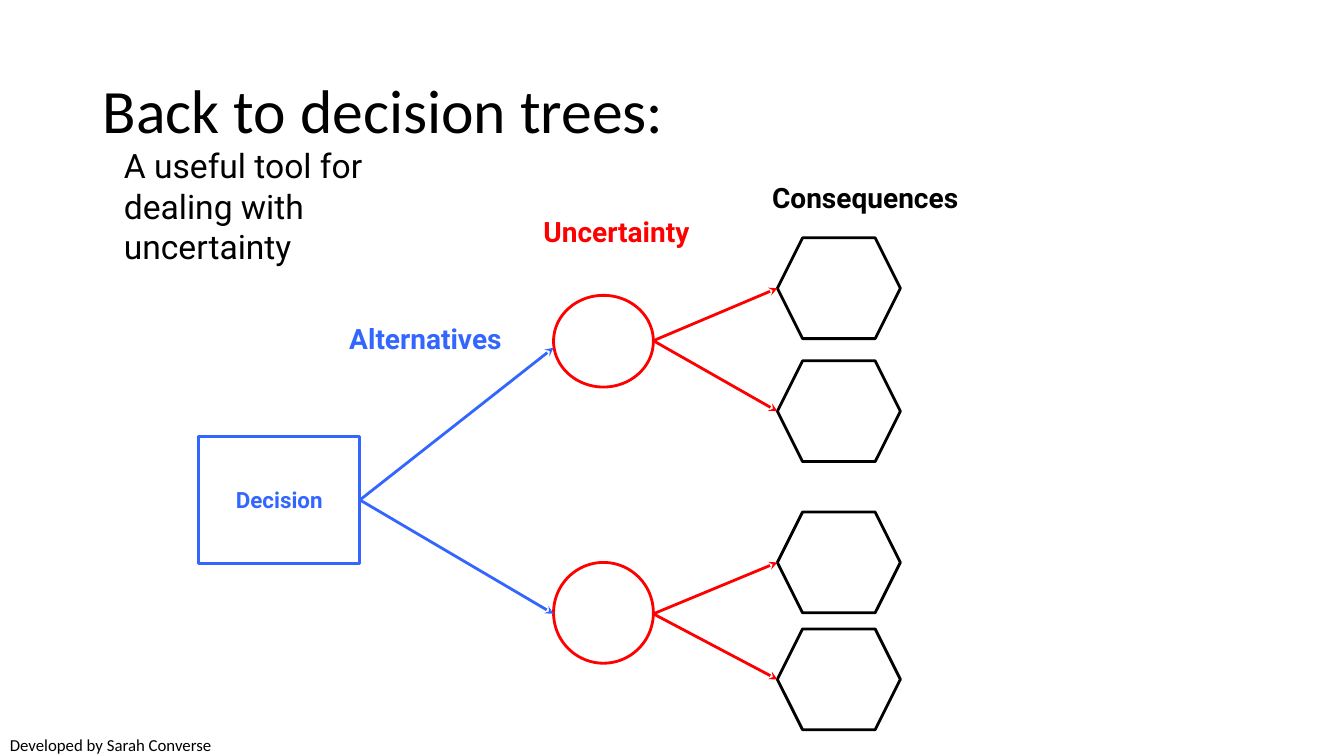
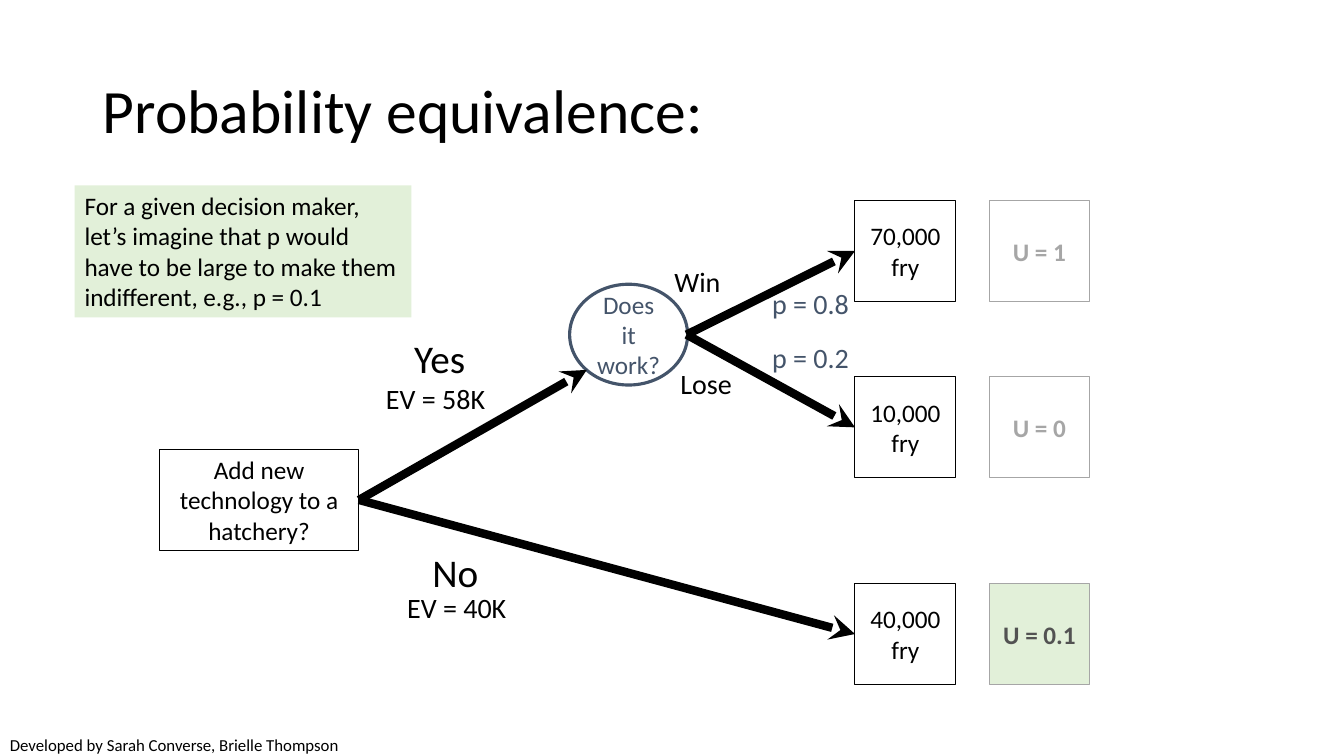
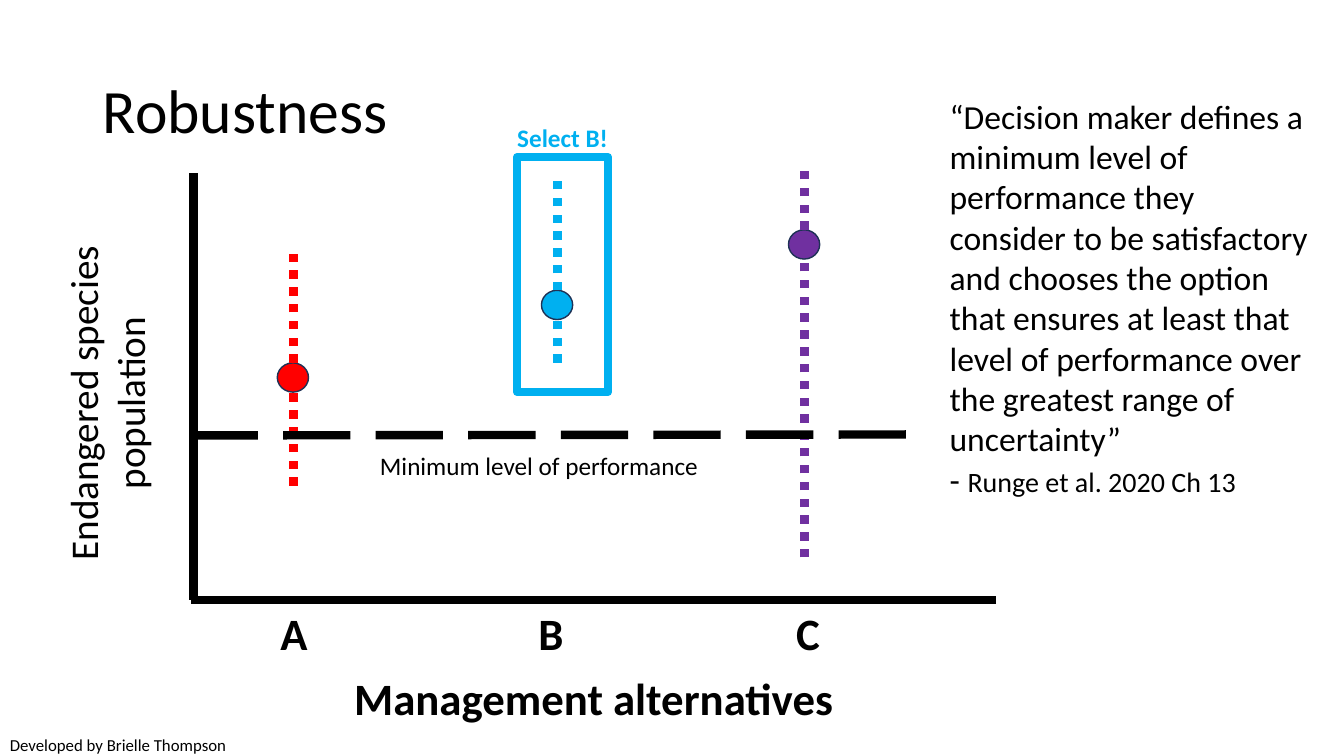
from lxml import etree
from pptx import Presentation
from pptx.dml.color import RGBColor
from pptx.enum.dml import MSO_LINE
from pptx.enum.shapes import MSO_CONNECTOR, MSO_SHAPE
from pptx.enum.text import MSO_ANCHOR, MSO_AUTO_SIZE, PP_ALIGN
from pptx.oxml.ns import qn
from pptx.util import Inches, Pt

BLACK = RGBColor(0x00, 0x00, 0x00)
WHITE = RGBColor(0xFF, 0xFF, 0xFF)
RED = RGBColor(0xFF, 0x00, 0x00)
BLUE = RGBColor(0x33, 0x66, 0xFF)
SLATE = RGBColor(0x44, 0x54, 0x6A)
GRAY = RGBColor(0xA6, 0xA6, 0xA6)
DARK = RGBColor(0x52, 0x52, 0x52)
GREEN = RGBColor(0xE2, 0xF0, 0xD9)
SKY = RGBColor(0x00, 0xB0, 0xF0)
PURPLE = RGBColor(0x70, 0x30, 0xA0)
NAVY = RGBColor(0x1E, 0x32, 0x56)

RECT, OVAL, HEX = MSO_SHAPE.RECTANGLE, MSO_SHAPE.OVAL, MSO_SHAPE.HEXAGON
STRAIGHT = MSO_CONNECTOR.STRAIGHT
DOTS, DASHES = MSO_LINE.ROUND_DOT, MSO_LINE.LONG_DASH
LEFT, CENTER = PP_ALIGN.LEFT, PP_ALIGN.CENTER
TOP, MIDDLE = MSO_ANCHOR.TOP, MSO_ANCHOR.MIDDLE
FIXED = MSO_AUTO_SIZE.NONE
WEST, EAST = 1, 3
TITLE_ONLY = 5
BODY, HEAD = "Calibri", "Roboto"


class Deck:
    """Holds the shared style and the slide being built."""

    def __init__(self):
        self.prs = Presentation()
        self.prs.slide_width = Inches(13.33)
        self.prs.slide_height = Inches(7.5)
        self.slide = None

    def start(self, title, credit):
        """Add a slide with its title and credit line."""
        self.slide = self.prs.slides.add_slide(self.prs.slide_layouts[TITLE_ONLY])
        head = self.slide.shapes.title
        place = dict(left=0.92, top=0.4, width=11.5, height=1.45)
        for name, value in place.items():
            setattr(head, name, Inches(value))
        self.text(head, title, 44, anchor=MIDDLE)
        head.text_frame.paragraphs[0].line_spacing = 0.9
        self.label((0, 7.24, 6.67, 0.3), credit, 12)

    def text(self, shape, words, size, color=BLACK, align=LEFT, anchor=TOP, **fmt):
        frame = shape.text_frame
        frame.auto_size = FIXED
        frame.word_wrap = True
        frame.vertical_anchor = anchor
        para = frame.paragraphs[0]
        para.alignment = align
        self.run(para, words, size, color, **fmt)

    def run(self, para, words, size, color=BLACK, **fmt):
        run = para.add_run()
        run.text = words
        run.font.color.rgb = color
        for name, value in {"name": BODY, "size": Pt(size), **fmt}.items():
            setattr(run.font, name, value)

    def label(self, box, words, size, color=BLACK, **fmt):
        shape = self.slide.shapes.add_textbox(*map(Inches, box))
        self.text(shape, words, size, color, **fmt)
        return shape

    def shape(self, kind, box, line=None, width=0.75, fill=None):
        shape = self.slide.shapes.add_shape(kind, *map(Inches, box))
        shape.shadow.inherit = False
        if fill is None:
            shape.fill.background()
        else:
            shape.fill.solid()
            shape.fill.fore_color.rgb = fill
        if line is None:
            shape.line.fill.background()
        else:
            shape.line.color.rgb = line
            shape.line.width = Pt(width)
        return shape

    def node(self, kind, box, words, size=18, line=BLACK, width=0.75, fill=None,
             color=BLACK, **fmt):
        """Add an outlined shape with centred text."""
        shape = self.shape(kind, box, line, width, fill)
        self.text(shape, words, size, color, CENTER, MIDDLE, **fmt)
        return shape

    def line(self, start, end, color=BLACK, width=6, dash=None):
        link = self.slide.shapes.add_connector(STRAIGHT, *map(Inches, start + end))
        link.line.color.rgb = color
        link.line.width = Pt(width)
        if dash is not None:
            link.line.dash_style = dash
        etree.SubElement(link._element.spPr, qn("a:effectLst"))
        return link

    def arrow(self, start, end, color=BLACK, width=6, tail=None, goal=None):
        """Draw an arrow; tail and goal are rectangles to join at their sides."""
        link = self.line(start, end, color, width)
        outline = link._element.spPr.find(qn("a:ln"))
        etree.SubElement(outline, qn("a:tailEnd"), type="stealth")
        if tail is not None:
            link.begin_connect(tail, EAST)
        if goal is not None:
            link.end_connect(goal, WEST)


def tree(deck):
    deck.start("Back to decision trees:", "Developed by Sarah Converse")
    root = deck.node(RECT, (1.97, 4.33, 1.6, 1.26), "Decision", 16, BLUE, 2,
                     color=BLUE, name=HEAD, bold=True)
    # Oval top and height, arrow entry, centre, and tops of its two hexagons
    forks = ((2.93, 0.91, 3.45, 3.38, (2.36, 3.58)),
             (5.58, 1, 6.09, 6.09, (5.08, 6.24)))
    for top, high, entry, mid, ends in forks:
        deck.shape(OVAL, (5.49, top, 0.99, high), RED, 2)
        deck.arrow((3.57, 4.96), (5.49, entry), BLUE, 2, tail=root)
        for y in ends:
            cell = deck.shape(HEX, (7.71, y, 1.22, 1), BLACK, 2)
            cell.adjustments[0] = 0.25
            deck.arrow((6.48, mid), (7.71, y + 0.5), RED, 2)
    for box, words, color, align in (
            ((7.56, 1.74, 2.34, 0.51), "Consequences", BLACK, LEFT),
            ((2.94, 3.14, 2.56, 0.51), "Alternatives", BLUE, CENTER),
            ((5.13, 2.08, 1.97, 0.51), "Uncertainty", RED, CENTER)):
        deck.label(box, words, 20, color, align=align, name=HEAD, bold=True)
    deck.label((1.13, 1.39, 2.78, 1.31), "A useful tool for dealing with uncertainty",
               24, name=HEAD)


def odds(deck):
    deck.start("Probability equivalence:", "Developed by Sarah Converse, Brielle Thompson")
    root = deck.node(RECT, (1.58, 4.46, 1.98, 1), "Add new technology to a hatchery?")
    deck.node(OVAL, (5.65, 2.82, 1.17, 1), "Does it work?", line=SLATE, width=2.25,
              color=SLATE)
    deck.arrow((3.56, 4.96), (5.82, 3.67), tail=root)
    fork = (6.81, 3.32)
    for top, fry, worth, start, tail, fill, color in (
            (1.99, "70,000 fry", "U = 1", fork, None, None, GRAY),
            (3.74, "10,000 fry", "U = 0", fork, None, None, GRAY),
            (5.79, "40,000 fry", "U = 0.1", (3.56, 4.96), root, GREEN, DARK)):
        goal = deck.node(RECT, (8.48, top, 1, 1), fry)
        deck.arrow(start, (8.48, top + 0.5), tail=tail, goal=goal)
        deck.node(RECT, (9.81, top, 1, 1), worth, line=GRAY, fill=fill, color=color,
                  bold=True)
    yes = deck.shape(RECT, (4.01, 3.27, 0.78, 0.4), fill=WHITE)
    deck.text(yes, "Yes", 28)
    deck.label((4.19, 5.39, 0.7, 0.58), "No", 28)
    for box, words, color in (
            ((6.59, 2.57, 0.8, 0.4), "Win", BLACK),
            ((6.65, 3.59, 0.94, 0.4), "Lose", BLACK),
            ((7.56, 2.79, 1.08, 0.37), "p = 0.8", SLATE),
            ((7.56, 3.33, 1.08, 0.37), "p = 0.2", SLATE),
            ((3.94, 5.81, 1.3, 0.4), "EV = 40K", BLACK),
            ((3.73, 3.74, 1.34, 0.4), "EV = 58K", BLACK)):
        deck.label(box, words, 20, color)
    note = deck.shape(RECT, (0.74, 1.84, 3.34, 1.31), fill=GREEN)
    deck.text(note, "For a given decision maker, let’s imagine that p would have to be "
              "large to make them indifferent, e.g., p = 0.1", 18)


def robust(deck):
    deck.start("Robustness", "Developed by Brielle Thompson")
    deck.line((1.92, 1.72), (1.92, 5.95))
    deck.line((9.88, 5.95), (1.89, 5.95))
    deck.label((2.63, 6.6, 6.52, 0.64), "Management alternatives", 32, align=CENTER,
               bold=True)
    axis = deck.label((-0.89, 3.48, 3.89, 1.04), "Endangered species population", 28,
                      align=CENTER)
    axis.rotation = 270
    # Name and its left edge, centre of the range, its top, dot top, and bottom
    for name, left, x, high, dot, low, color in (
            ("A", 2.58, 2.91, 2.45, 3.6, 4.82, RED),
            ("B", 5.13, 5.53, 1.72, 2.88, 3.6, SKY),
            ("C", 7.68, 7.98, 1.7, 2.28, 5.53, PURPLE)):
        deck.label((left, 5.96, 0.67, 0.64), name, 32, align=CENTER, bold=True)
        deck.shape(OVAL, (x - 0.16, dot, 0.31, 0.29), NAVY, 1, color)
        deck.line((x, dot), (x, high), color, dash=DOTS)
        deck.line((x, low), (x, dot + 0.23), color, dash=DOTS)
    quote = deck.label(
        (9.32, 0.9, 3.75, 4.54),
        "“Decision maker defines a minimum level of performance they consider to be "
        "satisfactory and chooses the option that ensures at least that level of "
        "performance over the greatest range of uncertainty”", 24)
    cite = quote.text_frame.add_paragraph()
    deck.run(cite, "- ", 24)
    deck.run(cite, "Runge et al. 2020 Ch 13", 20)
    deck.line((1.89, 4.32), (9.15, 4.31), dash=DASHES)
    deck.label((3.67, 4.42, 3.41, 0.4), "Minimum level of performance", 18)
    deck.shape(RECT, (5.13, 1.56, 0.9, 2.33), SKY, 6)
    deck.label((4.94, 1.16, 1.28, 0.4), "Select B!", 18, SKY, align=CENTER, bold=True)


def main():
    deck = Deck()
    for build in (tree, odds, robust):
        build(deck)
    deck.prs.save("out.pptx")


if __name__ == "__main__":
    main()
